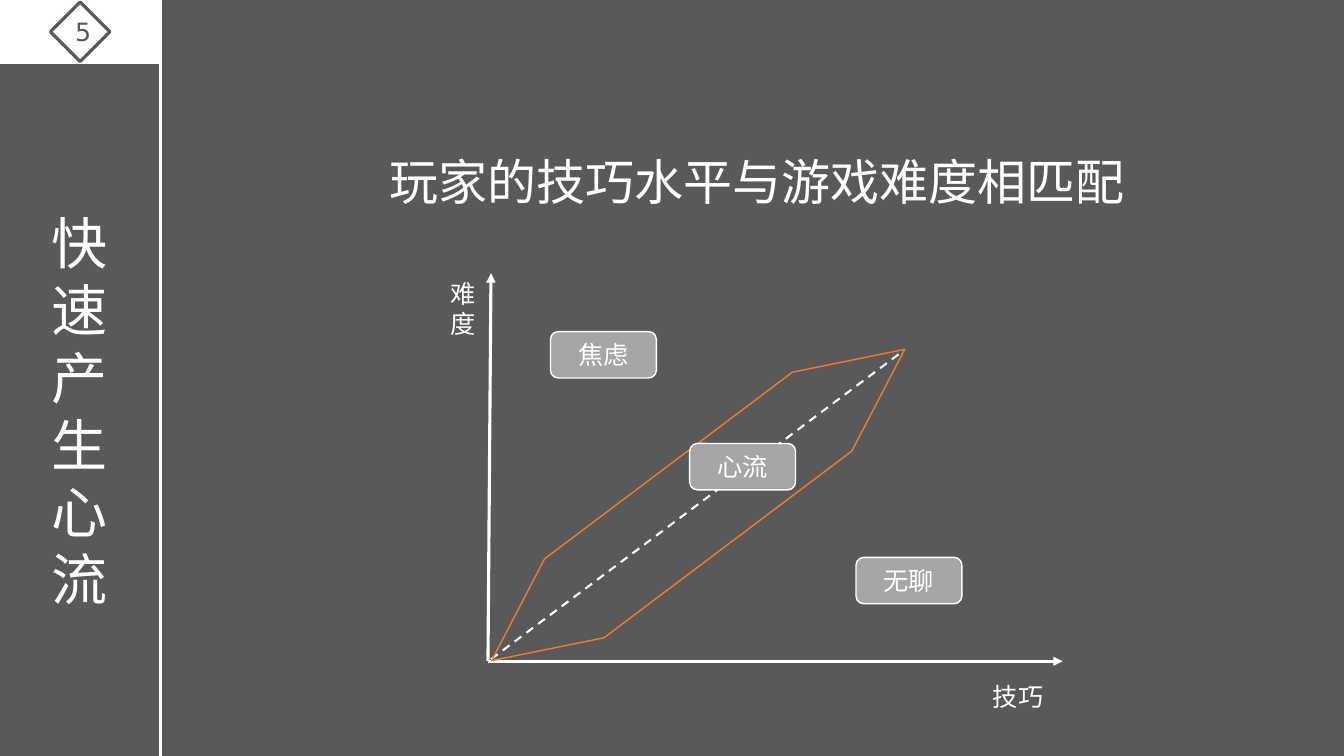
import pptx
import pptx.util
import pptx.dml.color
import pptx.enum.dml
import pptx.enum.shapes
import pptx.enum.text
import pptx.oxml
import pptx.oxml.ns

Inches = pptx.util.Inches
Pt = pptx.util.Pt
SHAPES = pptx.enum.shapes.MSO_SHAPE
ALIGN = pptx.enum.text.PP_ALIGN
ANCHOR = pptx.enum.text.MSO_ANCHOR

COLORS = {"ground": "595959", "white": "FFFFFF", "label": "A6A6A6", "flow": "ED7D31"}
FONT = "DejaVu Sans"


def color(name):
    return pptx.dml.color.RGBColor.from_string(COLORS[name])


def add_element(parent, tag, **attributes):
    element = pptx.oxml.parse_xml(f"<{tag} {pptx.oxml.ns.nsdecls('a')}/>")
    for key, value in attributes.items():
        element.set(key, value)
    parent.append(element)


def write(shape, text, size, ink="white", align=ALIGN.CENTER, anchor=ANCHOR.TOP):
    frame = shape.text_frame
    frame.text = text
    frame.word_wrap = True
    frame.auto_size = pptx.enum.text.MSO_AUTO_SIZE.NONE
    frame.vertical_anchor = anchor
    for para in frame.paragraphs:
        para.alignment = align
        for span in para.runs:
            span.font.size = Pt(size)
            span.font.name = FONT
            span.font.color.rgb = color(ink)
            add_element(span.font._element, "a:ea", typeface=FONT)


def add_text(page, box, text, size, align=ALIGN.CENTER):
    write(page.shapes.add_textbox(*map(Inches, box)), text, size, align=align)


def add_outline(shapes, kind, box, line, width, fill=None):
    shape = shapes.add_shape(kind, *map(Inches, box))
    shape.shadow.inherit = False
    if fill:
        shape.fill.solid()
        shape.fill.fore_color.rgb = color(fill)
    else:
        shape.fill.background()
    shape.line.color.rgb = color(line)
    shape.line.width = Pt(width)
    return shape


def add_line(page, start, end, width=2.25, arrow=False, dashed=False):
    line = page.shapes.add_connector(
        pptx.enum.shapes.MSO_CONNECTOR.STRAIGHT, *map(Inches, (*start, *end)))
    line.line.color.rgb = color("white")
    line.line.width = Pt(width)
    if dashed:
        line.line.dash_style = pptx.enum.dml.MSO_LINE.DASH
    if arrow:
        add_element(line.line._get_or_add_ln(), "a:tailEnd", type="triangle")
    add_element(line._element.spPr, "a:effectLst")


def build_sidebar(page, box):
    left, top, width, height = box
    add_line(page, (left + width, top), (left + width, top + height))

    # Title, narrow enough to run one character per line
    title = page.shapes.title
    title.left, title.top = Inches(left + 0.28), Inches(top + 2.02)
    title.width, title.height = Inches(1.02), Inches(4.14)
    write(title, "快速产生心流", 40)

    # Page number badge
    badge = page.shapes.add_group_shape()
    add_outline(badge.shapes, SHAPES.RECTANGLE, (left, top, width, 0.63),
                "white", 1.5, "white")
    diamond = add_outline(badge.shapes, SHAPES.DIAMOND,
                          (left + 0.5, top + 0.02, 0.59, 0.59), "ground", 2.25)
    write(diamond, "5", 18, "ground", anchor=ANCHOR.MIDDLE)


def build_flow_chart(page, box):
    left, top, width, height = box
    bottom = top + height
    origin = (left, bottom)

    # Axes and their names
    add_line(page, origin, (left + width, bottom), arrow=True)
    add_line(page, origin, (left + 0.03, top), arrow=True)
    add_text(page, (left + width - 0.79, bottom + 0.15, 0.79, 0.4), "技巧", 18, ALIGN.LEFT)
    add_text(page, (left - 0.47, top, 0.48, 0.71), "难\n度", 18, ALIGN.LEFT)

    # Flow channel around the diagonal
    add_line(page, (left + 0.03, bottom - 0.02), (left + 4.12, top + 0.77),
             width=1.5, dashed=True)
    channel = add_outline(page.shapes, SHAPES.FLOWCHART_PREPARATION,
                          (left - 0.48, top + 1.81, 5.13, 0.98), "flow", 1)
    channel.rotation = 323

    # State labels
    for text, across, down in (("无聊", 3.65, 2.82), ("心流", 2, 1.69), ("焦虑", 0.62, 0.58)):
        label = add_outline(page.shapes, SHAPES.ROUNDED_RECTANGLE,
                            (left + across, top + down, 1.05, 0.46), "white", 1, "label")
        write(label, text, 18, anchor=ANCHOR.MIDDLE)


def main():
    deck = pptx.Presentation()
    deck.slide_width, deck.slide_height = Inches(13.33), Inches(7.5)
    page = deck.slides.add_slide(deck.slide_layouts.get_by_name("Title Only"))
    page.background.fill.solid()
    page.background.fill.fore_color.rgb = color("ground")

    build_sidebar(page, (0, 0, 1.59, 7.5))
    add_text(page, (3.69, 1.45, 7.64, 0.69), "玩家的技巧水平与游戏难度相匹配", 35)
    build_flow_chart(page, (4.84, 2.71, 5.7, 3.85))
    deck.save("out.pptx")


if __name__ == "__main__":
    main()
